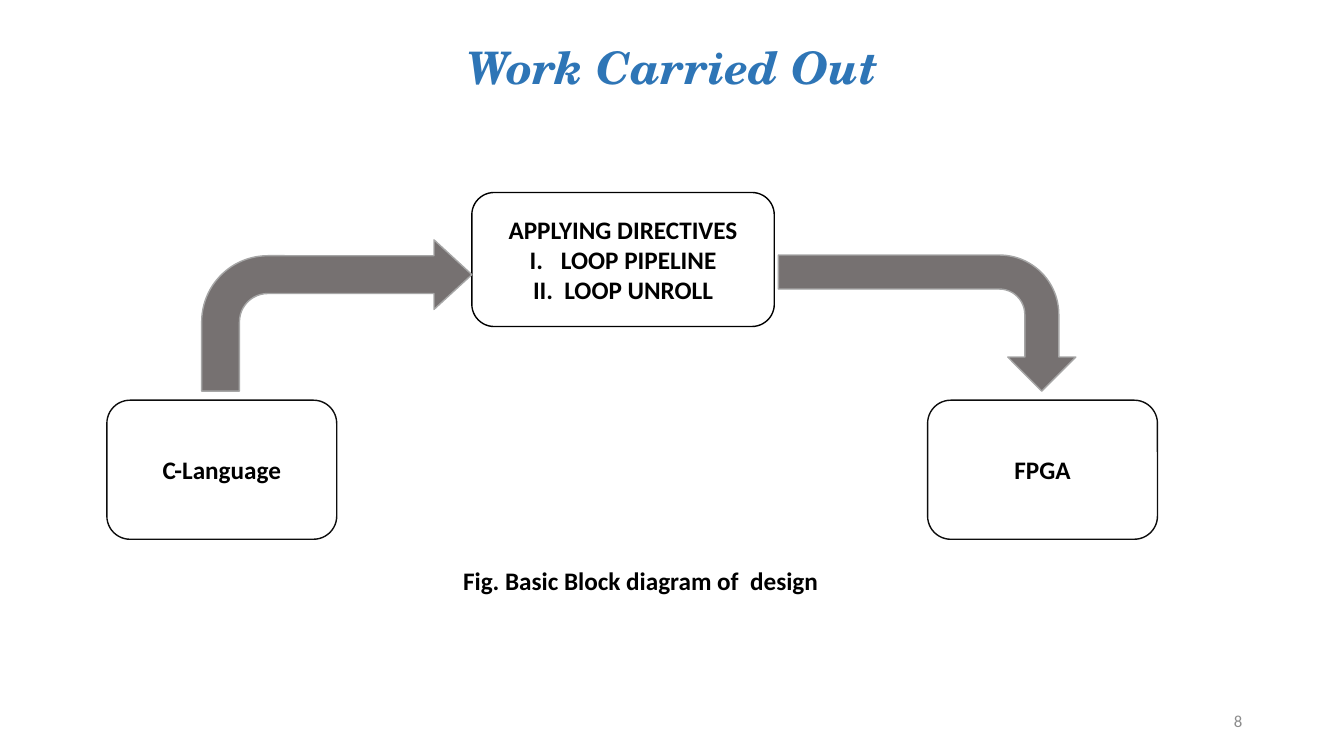
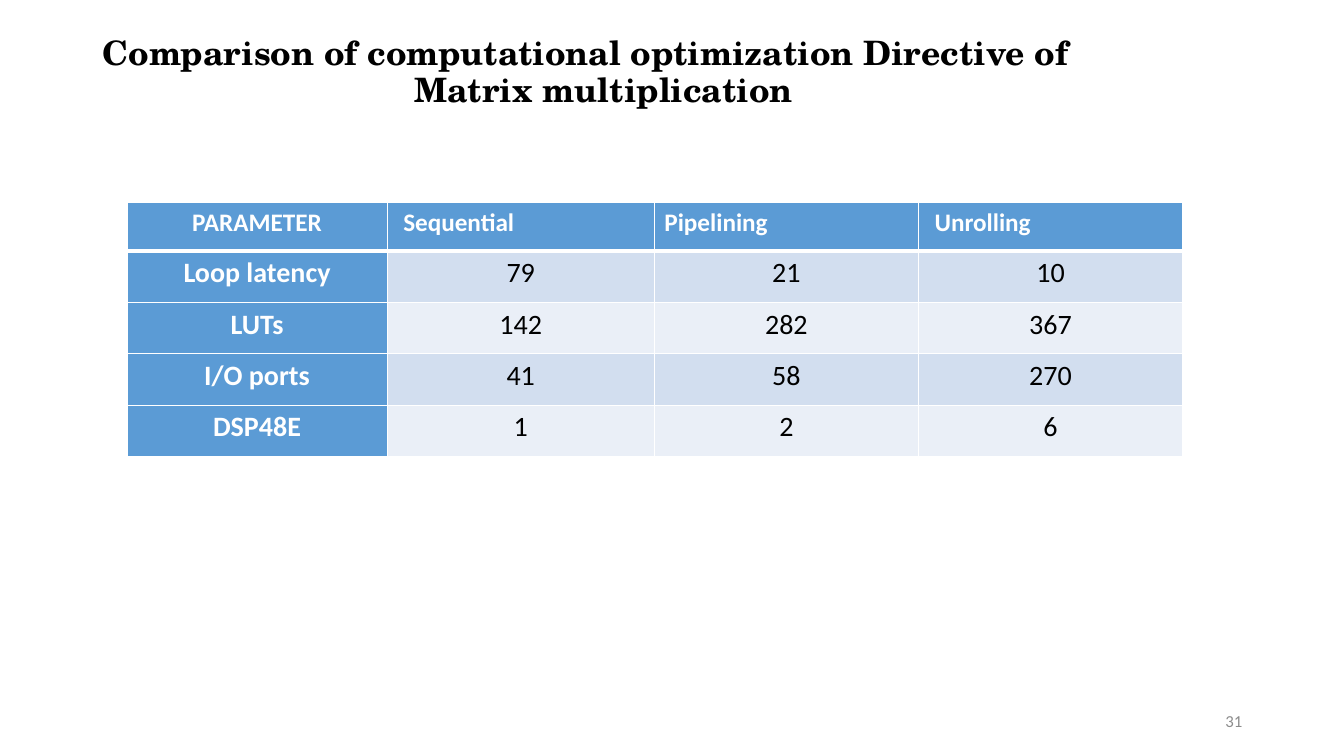
from lxml import etree
from pptx import Presentation
from pptx import util as u
from pptx.dml.color import RGBColor
from pptx.enum import shapes, text
from pptx.oxml import ns

COLORS = {
    "title": "2E75B6", "text": "000000", "white": "FFFFFF", "number": "8C8C8C",
    "arrow": "767171", "arrow_line": "A6A6A6", "box_line": "0D0D0D",
    "header": "5B9BD5", "odd_row": "D2DEEF", "even_row": "EAEFF7",
}
TITLE_FONT, BODY_FONT = "TeX Gyre Schola", "Calibri"
CENTER, LEFT, RIGHT = text.PP_ALIGN.CENTER, text.PP_ALIGN.LEFT, text.PP_ALIGN.RIGHT
MIDDLE, TOP = text.MSO_ANCHOR.MIDDLE, text.MSO_ANCHOR.TOP


def color(name):
    return RGBColor.from_string(COLORS[name])


class Deck:
    """Holds the presentation, its style and the current slide."""

    def __init__(self):
        self.presentation = Presentation()
        self.presentation.slide_width = u.Inches(13.33)
        self.presentation.slide_height = u.Inches(7.5)
        self.slide = None

    def new_slide(self, number):
        layout = self.presentation.slide_layouts[6]
        self.slide = self.presentation.slides.add_slide(layout)
        self.text_box((9.42, 6.95, 3, 0.4), [str(number)], size=12,
                      ink="number", bold=False, align=RIGHT, anchor=MIDDLE)

    def set_text(self, frame, lines, size=18, ink="text", bold=True, italic=False,
                 font=BODY_FONT, align=CENTER, spacing=None, numbered_from=None):
        for index, line in enumerate(lines):
            paragraph = frame.paragraphs[0] if index == 0 else frame.add_paragraph()
            paragraph.text = line
            paragraph.alignment = align
            if spacing:
                paragraph.line_spacing = spacing
            if numbered_from is not None and index >= numbered_from:
                self.number(paragraph)
            style = paragraph.font
            style.name, style.size = font, u.Pt(size)
            style.bold, style.italic = bold, italic
            style.color.rgb = color(ink)

    @staticmethod
    def indent(paragraph, left, first=0):
        properties = paragraph._p.get_or_add_pPr()
        properties.set("marL", str(u.Inches(left)))
        properties.set("indent", str(u.Inches(first)))
        return properties

    def number(self, paragraph):
        properties = self.indent(paragraph, 0.31, -0.31)
        etree.SubElement(properties, ns.qn("a:buAutoNum"), type="romanUcPeriod")

    def text_box(self, place, lines, anchor=TOP, **style):
        box = self.slide.shapes.add_textbox(*map(u.Inches, place))
        frame = box.text_frame
        frame.word_wrap = True
        frame.vertical_anchor = anchor
        self.set_text(frame, lines, **style)
        return frame

    def title(self, place, lines, **style):
        return self.text_box(place, lines, anchor=MIDDLE, font=TITLE_FONT,
                             spacing=0.9, **style)

    def shape(self, kind, place, fill, line):
        shape = self.slide.shapes.add_shape(kind, *map(u.Inches, place))
        shape.shadow.inherit = False
        shape.fill.solid()
        shape.fill.fore_color.rgb = color(fill)
        shape.line.color.rgb = color(line)
        shape.line.width = u.Pt(1)
        return shape

    def box(self, place, lines, line="box_line", **style):
        shape = self.shape(shapes.MSO_SHAPE.ROUNDED_RECTANGLE, place, "white", line)
        shape.text_frame.vertical_anchor = MIDDLE
        self.set_text(shape.text_frame, lines, **style)

    def arrow(self, place, rotation=0, head=0.25):
        shape = self.shape(shapes.MSO_SHAPE.BENT_ARROW, place, "arrow", "arrow_line")
        shape.rotation = rotation
        shape.adjustments[1] = head

    @staticmethod
    def borders(cell, top, bottom):
        properties = cell._tc.get_or_add_tcPr()
        for side, width in (("L", 1), ("R", 1), ("T", top), ("B", bottom)):
            line = etree.SubElement(properties, ns.qn("a:ln" + side), w=str(u.Pt(width)))
            fill = etree.SubElement(line, ns.qn("a:solidFill"))
            etree.SubElement(fill, ns.qn("a:srgbClr"), val=COLORS["white"])

    def table(self, place, widths, heights, rows):
        table = self.slide.shapes.add_table(
            len(rows), len(widths), *map(u.Inches, place)).table
        table.horz_banding = False
        for column, width in zip(table.columns, widths):
            column.width = u.Inches(width)
        for r, values in enumerate(rows):
            table.rows[r].height = u.Inches(heights[r])
            for c, value in enumerate(values):
                cell = table.cell(r, c)
                heading = r == 0 or c == 0
                band = "odd_row" if r % 2 else "even_row"
                self.borders(cell, 3 if r == 1 else 1, 3 if r == 0 else 1)
                cell.fill.solid()
                cell.fill.fore_color.rgb = color("header" if heading else band)
                self.set_text(cell.text_frame, [value], size=20 if r else 18,
                              ink="white" if heading else "text", bold=heading,
                              align=LEFT if r == 0 and c else CENTER)
        return table


def main():
    deck = Deck()

    # Block diagram
    deck.new_slide(8)
    deck.title((0.92, 0.2, 11.5, 0.98), ["Work Carried Out"],
               size=32, ink="title", italic=True)
    for left, label in ((1.06, "C-Language"), (9.2, "FPGA")):
        deck.box((left, 3.97, 2.28, 1.38), [label])
    deck.box((4.68, 1.91, 3, 1.33),
             ["APPLYING DIRECTIVES", "LOOP PIPELINE", "LOOP UNROLL"],
             line="text", numbered_from=1)
    deck.arrow((2, 2.38, 2.68, 1.5), head=0.23)
    deck.arrow((8.52, 1.73, 1.35, 2.95), rotation=90)
    deck.text_box((3.98, 5.56, 4.75, 0.4), ["Fig. Basic Block diagram of  design"])

    # Comparison table
    deck.new_slide(31)
    table = deck.table(
        (1.26, 2.01, 10.46, 2.51), (2.58, 2.65, 2.62, 2.62), [0.48] + [0.51] * 4,
        [("PARAMETER", "Sequential", "Pipelining", "Unrolling"),
         ("Loop latency", "79", "21", "10"),
         ("LUTs", "142", "282", "367"),
         ("I/O ports", "41", "58", "270"),
         ("DSP48E", "1", "2", "6")])
    for column in (1, 3):
        table.cell(0, column).margin_left = u.Inches(0.16)
    heading = deck.title(
        (0.92, 0.18, 11.5, 1.45),
        ["Comparison of computational optimization Directive of",
         "Matrix multiplication"], size=24, align=LEFT)
    heading.margin_bottom = u.Inches(0.41)
    deck.indent(heading.paragraphs[1], 3.09)

    deck.presentation.save("out.pptx")


if __name__ == "__main__":
    main()
